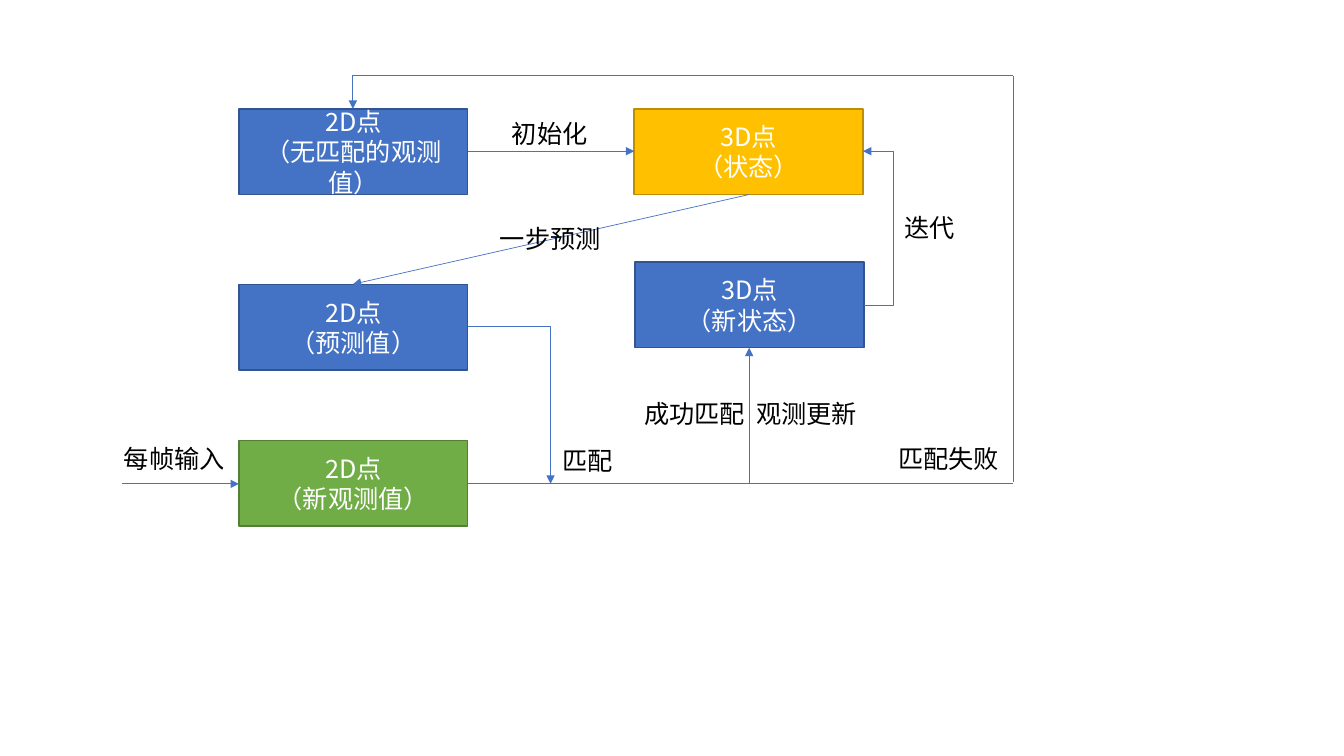
from lxml.etree import SubElement
from pptx import Presentation
from pptx.dml.color import RGBColor
from pptx.enum.shapes import MSO_CONNECTOR, MSO_SHAPE
from pptx.enum.text import MSO_ANCHOR, MSO_AUTO_SIZE, PP_ALIGN
from pptx.oxml.ns import qn
from pptx.util import Inches, Pt

FONT = "Noto Sans CJK SC"
WHITE = RGBColor(0xFF, 0xFF, 0xFF)
BLACK = RGBColor(0x00, 0x00, 0x00)
BLUE = RGBColor(0x44, 0x72, 0xC4)
BLUE_EDGE = RGBColor(0x32, 0x54, 0x91)
GOLD = RGBColor(0xFF, 0xC0, 0x00)
GOLD_EDGE = RGBColor(0xBD, 0x8E, 0x00)
GREEN = RGBColor(0x70, 0xAD, 0x47)
GREEN_EDGE = RGBColor(0x53, 0x80, 0x35)

BOX_WIDTH, BOX_HEIGHT = 2.27, 0.85
LABEL_HEIGHT = 0.4
POINTS_2D, POINTS_3D = 2.37, 6.29
POINTS_2D_RIGHT = POINTS_2D + BOX_WIDTH
POINTS_3D_RIGHT = POINTS_3D + BOX_WIDTH
POINTS_2D_MIDDLE, POINTS_3D_MIDDLE = 3.5, 7.43
STATE_TOP, NEW_STATE_TOP = 1.08, 2.6
PREDICTION_TOP, INPUT_TOP = 2.82, 4.37
STATE_ROW, NEW_STATE_ROW = 1.5, 3.03
PREDICTION_ROW, INPUT_ROW = 3.24, 4.8
MATCH_X, FAILURE_X, FAILURE_TOP = 5.46, 10.05, 0.75


def add_text(para, text, color):
    span = para.add_run()
    span.text = text
    span.font.size = Pt(18)
    span.font.color.rgb = color
    span.font.name = FONT
    SubElement(span.font._element, qn("a:ea"), typeface=FONT)


def add_box(page, left, top, lines, fill, edge):
    box = page.shapes.add_shape(MSO_SHAPE.RECTANGLE, Inches(left), Inches(top),
                                Inches(BOX_WIDTH), Inches(BOX_HEIGHT))
    box.shadow.inherit = False
    box.fill.solid()
    box.fill.fore_color.rgb = fill
    box.line.color.rgb = edge
    box.line.width = Pt(1)
    frame = box.text_frame
    frame.word_wrap = True
    frame.vertical_anchor = MSO_ANCHOR.MIDDLE
    for index, line in enumerate(lines):
        para = frame.add_paragraph() if index else frame.paragraphs[0]
        para.alignment = PP_ALIGN.CENTER
        add_text(para, line, WHITE)


def add_label(page, left, top, width, text):
    box = page.shapes.add_textbox(Inches(left), Inches(top),
                                  Inches(width), Inches(LABEL_HEIGHT))
    frame = box.text_frame
    frame.word_wrap = False
    frame.auto_size = MSO_AUTO_SIZE.SHAPE_TO_FIT_TEXT
    add_text(frame.paragraphs[0], text, BLACK)


def add_line(page, start, end, kind=MSO_CONNECTOR.STRAIGHT, arrow=True):
    points = [Inches(value) for value in (*start, *end)]
    line = page.shapes.add_connector(kind, *points)
    line.line.color.rgb = BLUE
    line.line.width = Pt(0.5)
    properties = line.element.spPr
    if arrow:
        SubElement(properties.find(qn("a:ln")), qn("a:tailEnd"), type="triangle")
    SubElement(properties, qn("a:effectLst"))
    return properties.find(qn("a:prstGeom"))


def add_corner(page, start, end):
    geometry = add_line(page, start, end, MSO_CONNECTOR.ELBOW)
    geometry.set("prst", "bentConnector2")


def add_loop(page, start, end, reach):
    geometry = add_line(page, start, end, MSO_CONNECTOR.ELBOW)
    ratio = round(-reach / (start[0] - end[0]) * 100000)
    guides = geometry.find(qn("a:avLst"))
    if guides is None:
        guides = SubElement(geometry, qn("a:avLst"))
    SubElement(guides, qn("a:gd"), name="adj1", fmla=f"val {ratio}")


def main():
    deck = Presentation()
    deck.slide_width = Inches(13.33)
    deck.slide_height = Inches(7.5)
    page = deck.slides.add_slide(deck.slide_layouts[6])

    for left, top, lines, fill, edge in (
        (POINTS_2D, STATE_TOP, ("2D点", "（无匹配的观测值）"), BLUE, BLUE_EDGE),
        (POINTS_3D, STATE_TOP, ("3D点", "（状态）"), GOLD, GOLD_EDGE),
        (POINTS_2D, PREDICTION_TOP, ("2D点", "（预测值）"), BLUE, BLUE_EDGE),
        (POINTS_2D, INPUT_TOP, ("2D点", "（新观测值）"), GREEN, GREEN_EDGE),
        (POINTS_3D + 0.01, NEW_STATE_TOP, ("3D点", "（新状态）"), BLUE, BLUE_EDGE),
    ):
        add_box(page, left, top, lines, fill, edge)

    add_line(page, (POINTS_2D_RIGHT, STATE_ROW), (POINTS_3D, STATE_ROW))
    add_line(page, (POINTS_3D_MIDDLE, STATE_TOP + BOX_HEIGHT),
             (POINTS_2D_MIDDLE, PREDICTION_TOP))
    add_line(page, (1.21, INPUT_ROW), (POINTS_2D, INPUT_ROW))
    add_line(page, (POINTS_3D_MIDDLE, INPUT_ROW), (FAILURE_X, INPUT_ROW), arrow=False)
    add_line(page, (FAILURE_X, 4.78), (FAILURE_X, FAILURE_TOP), arrow=False)

    add_corner(page, (POINTS_2D_RIGHT, INPUT_ROW),
               (POINTS_3D_MIDDLE, NEW_STATE_TOP + BOX_HEIGHT))
    add_corner(page, (POINTS_2D_RIGHT, PREDICTION_ROW), (MATCH_X, INPUT_ROW))
    add_corner(page, (FAILURE_X, FAILURE_TOP), (POINTS_2D_MIDDLE, STATE_TOP))
    add_loop(page, (POINTS_3D_RIGHT + 0.01, NEW_STATE_ROW),
             (POINTS_3D_RIGHT, STATE_ROW), 0.3)

    for left, top, width, text in (
        (4.98, 1.12, 0.96, "初始化"),
        (4.86, 2.17, 1.21, "一步预测"),
        (5.48, 4.37, 0.71, "匹配"),
        (6.29, 3.9, 1.21, "成功匹配"),
        (7.4, 3.9, 1.21, "观测更新"),
        (8.81, 4.35, 1.21, "匹配失败"),
        (8.87, 2.06, 0.71, "迭代"),
        (1.13, 4.35, 1.21, "每帧输入"),
    ):
        add_label(page, left, top, width, text)

    deck.save("out.pptx")


main()
